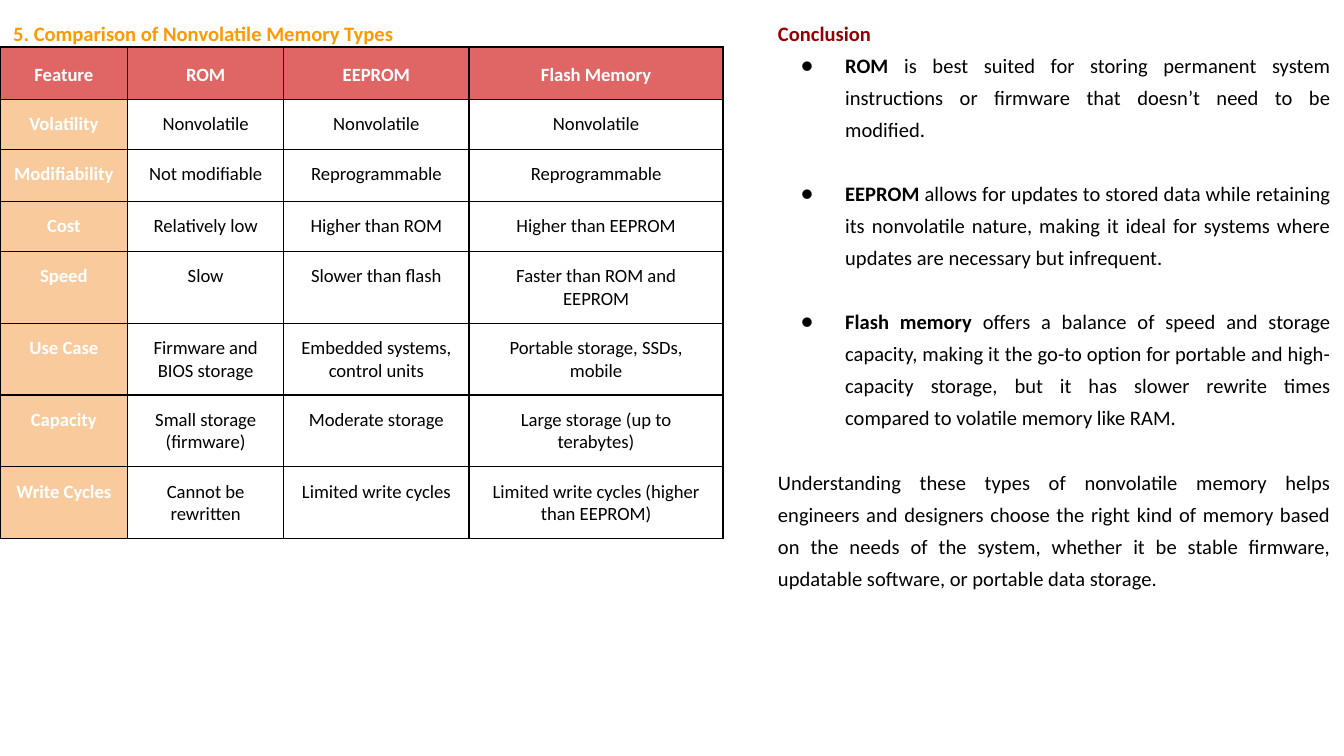
from lxml.etree import SubElement
from pptx import Presentation
from pptx.dml.color import RGBColor
from pptx.enum.text import PP_ALIGN
from pptx.oxml.ns import qn
from pptx.util import Inches, Pt

FONT = "Calibri"
BLACK = RGBColor(0x00, 0x00, 0x00)
WHITE = RGBColor(0xFF, 0xFF, 0xFF)
ORANGE = RGBColor(0xFF, 0x99, 0x00)
DARK_RED = RGBColor(0x98, 0x00, 0x00)
HEADER_RED = RGBColor(0xE0, 0x66, 0x66)
FEATURE_PEACH = RGBColor(0xF9, 0xCB, 0x9C)

SLIDE_WIDTH = Inches(10)
SLIDE_HEIGHT = SLIDE_WIDTH * 9 // 16
COLUMN_WIDTHS = [0.95, 1.16, 1.38, 1.89]
ROW_HEIGHTS = [0.39, 0.37, 0.39, 0.37] + [0.53] * 4
COMPARISON = [
    ["Feature", "ROM", "EEPROM", "Flash Memory"],
    ["Volatility", "Nonvolatile", "Nonvolatile", "Nonvolatile"],
    ["Modifiability", "Not modifiable", "Reprogrammable", "Reprogrammable"],
    ["Cost", "Relatively low", "Higher than ROM", "Higher than EEPROM"],
    ["Speed", "Slow", "Slower than flash", "Faster than ROM and EEPROM"],
    ["Use Case", "Firmware and BIOS storage", "Embedded systems, control units",
     "Portable storage, SSDs, mobile"],
    ["Capacity", "Small storage (firmware)", "Moderate storage",
     "Large storage (up to terabytes)"],
    ["Write Cycles", "Cannot be rewritten", "Limited write cycles",
     "Limited write cycles (higher than EEPROM)"],
]
CONCLUSIONS = [
    ("ROM", " is best suited for storing permanent system instructions or firmware "
            "that doesn’t need to be modified."),
    ("EEPROM", " allows for updates to stored data while retaining its nonvolatile "
               "nature, making it ideal for systems where updates are necessary but "
               "infrequent."),
    ("Flash memory", " offers a balance of speed and storage capacity, making it the "
                     "go-to option for portable and high-capacity storage, but it has "
                     "slower rewrite times compared to volatile memory like RAM."),
]
SUMMARY = ("Understanding these types of nonvolatile memory helps engineers and designers "
           "choose the right kind of memory based on the needs of the system, whether it "
           "be stable firmware, updatable software, or portable data storage.")
PARAGRAPH_GAP = Pt(17.3)


def set_font(font, size, color, bold=None):
    font.name = FONT
    font.size = Pt(size)
    font.color.rgb = color
    font.bold = bold


def add_text_frame(slide, left, top, width, height):
    frame = slide.shapes.add_textbox(left, top, width, height).text_frame
    frame.word_wrap = True
    frame.margin_left = frame.margin_right = Inches(0.1)
    frame.margin_top = frame.margin_bottom = Inches(0.1)
    return frame


def format_body(paragraph, gap=0):
    paragraph.alignment = PP_ALIGN.JUSTIFY
    paragraph.line_spacing = 1.3
    paragraph.space_before = gap


def write_heading(frame, text, color):
    heading = frame.paragraphs[0]
    heading.text = text
    format_body(heading)
    set_font(heading.font, 11, color, True)


def add_bullet(paragraph):
    properties = paragraph._p.get_or_add_pPr()
    properties.set("marL", str(Inches(0.5)))
    properties.set("indent", str(Inches(-0.33)))
    bullet_color = SubElement(properties, qn("a:buClr"))
    SubElement(bullet_color, qn("a:srgbClr"), val=str(BLACK))
    SubElement(properties, qn("a:buFont"), typeface=FONT)
    SubElement(properties, qn("a:buChar"), char="●")


def add_conclusion(frame, memory_type, statement, gap):
    conclusion = frame.add_paragraph()
    format_body(conclusion, gap)
    add_bullet(conclusion)
    set_font(conclusion.font, 11, BLACK)
    for text, bold in ((memory_type, True), (statement, False)):
        run = conclusion.add_run()
        run.text = text
        run.font.bold = bold


def add_borders(cell):
    properties = cell._tc.get_or_add_tcPr()
    for side in ("lnL", "lnR", "lnT", "lnB"):
        border = SubElement(properties, qn(f"a:{side}"), w=str(Pt(0.75)))
        fill = SubElement(border, qn("a:solidFill"))
        SubElement(fill, qn("a:srgbClr"), val=str(BLACK))


def fill_cell(cell, text, fill_color, line_spacing):
    """Write one table cell; a cell without a fill colour gets plain black text."""
    cell.margin_left = cell.margin_right = Inches(0.1)
    cell.margin_top = cell.margin_bottom = Inches(0.1)
    add_borders(cell)
    if fill_color is None:
        cell.fill.background()
    else:
        cell.fill.solid()
        cell.fill.fore_color.rgb = fill_color
    paragraph = cell.text_frame.paragraphs[0]
    paragraph.text = text
    paragraph.alignment = PP_ALIGN.CENTER
    paragraph.line_spacing = line_spacing
    is_label = fill_color is not None
    set_font(paragraph.font, 10, WHITE if is_label else BLACK, is_label)


def add_comparison_table(slide):
    table = slide.shapes.add_table(
        len(ROW_HEIGHTS), len(COLUMN_WIDTHS), Inches(0), Inches(0.35),
        Inches(sum(COLUMN_WIDTHS)), Inches(sum(ROW_HEIGHTS))).table
    table.first_row = table.horz_banding = False
    for column, width in zip(table.columns, COLUMN_WIDTHS):
        column.width = Inches(width)
    for row_index, (row, height) in enumerate(zip(table.rows, ROW_HEIGHTS)):
        row.height = Inches(height)
        for column_index, text in enumerate(COMPARISON[row_index]):
            if row_index == 0:
                fill_color = HEADER_RED
            else:
                fill_color = FEATURE_PEACH if column_index == 0 else None
            fill_cell(row.cells[column_index], text, fill_color,
                      1.15 if row_index == 0 else 1.0)


def add_conclusion_column(slide):
    frame = add_text_frame(slide, Inches(5.69), 0, Inches(4.31), SLIDE_HEIGHT)
    write_heading(frame, "Conclusion", DARK_RED)
    for index, (memory_type, statement) in enumerate(CONCLUSIONS):
        add_conclusion(frame, memory_type, statement, PARAGRAPH_GAP if index else 0)
    summary = frame.add_paragraph()
    summary.text = SUMMARY
    format_body(summary, PARAGRAPH_GAP)
    set_font(summary.font, 11, BLACK, False)


def main():
    presentation = Presentation()
    presentation.slide_width = SLIDE_WIDTH
    presentation.slide_height = SLIDE_HEIGHT
    slide = presentation.slides.add_slide(presentation.slide_layouts[6])
    title = add_text_frame(slide, 0, 0, Inches(4.91), Inches(0.35))
    write_heading(title, "5. Comparison of Nonvolatile Memory Types", ORANGE)
    add_conclusion_column(slide)
    add_comparison_table(slide)
    presentation.save("out.pptx")


if __name__ == "__main__":
    main()
